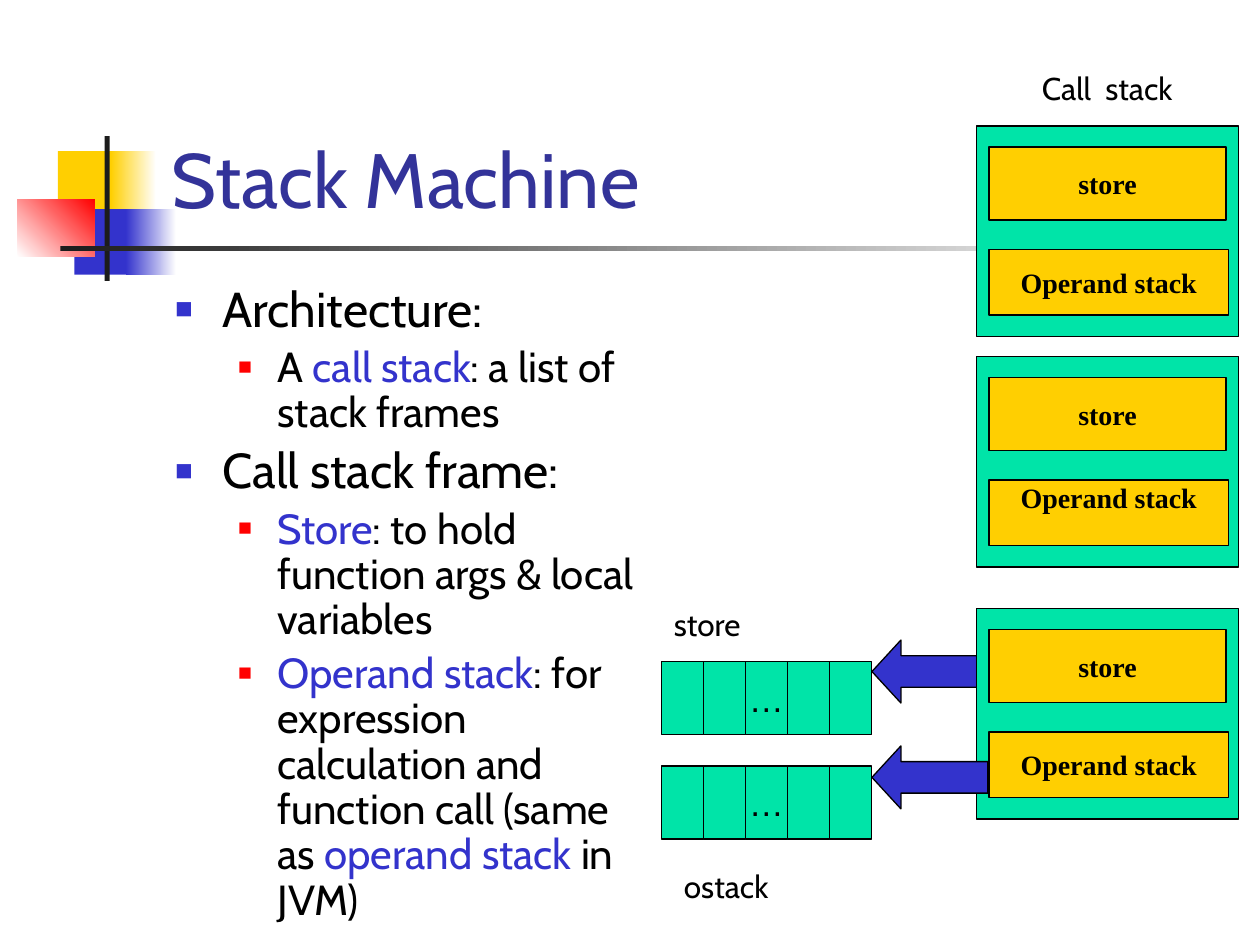
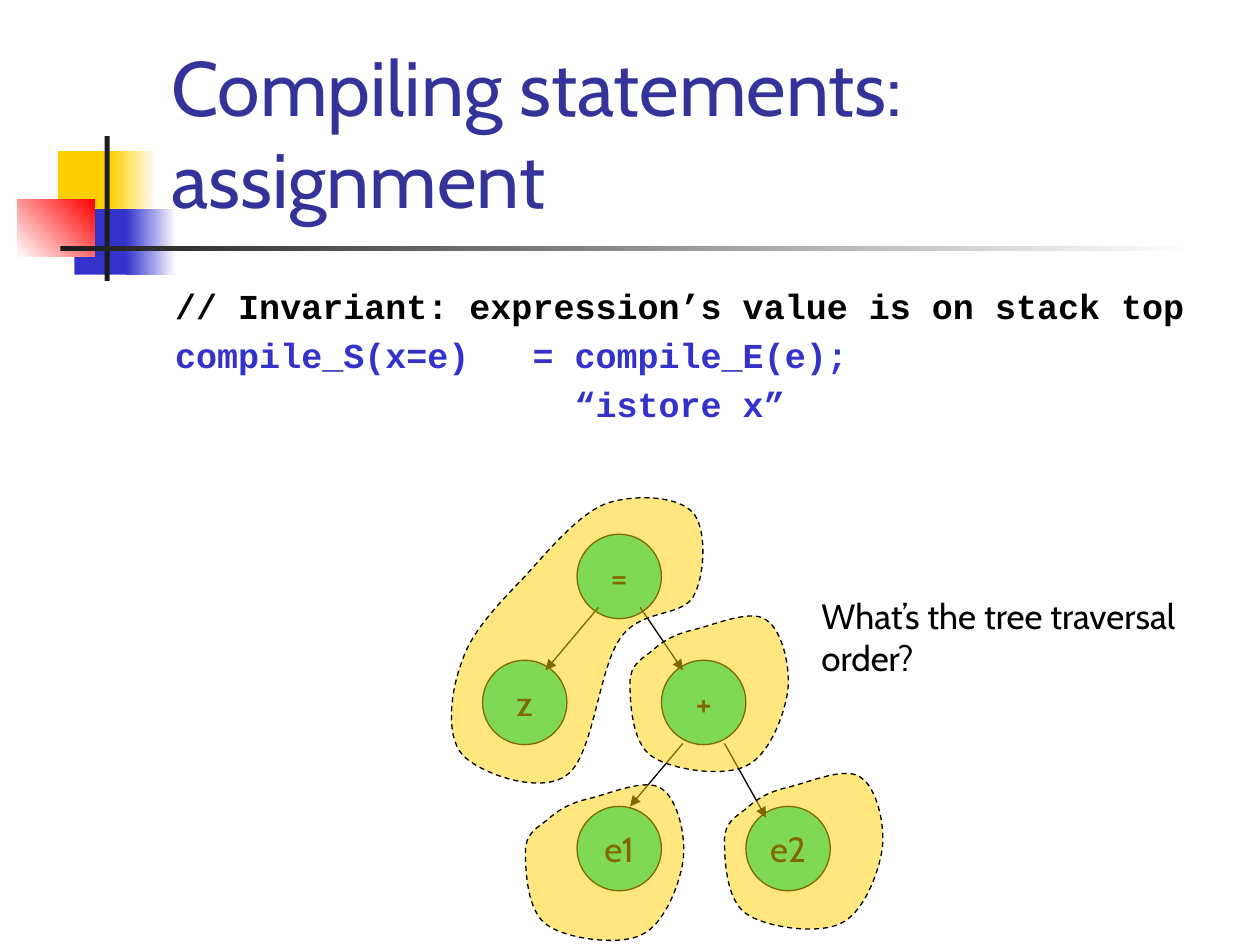
from lxml import etree
from pptx import Presentation
from pptx import util as u
from pptx.dml.color import RGBColor
from pptx.enum import dml, shapes, text
from pptx.oxml.ns import qn

COLORS = {
    "title": "333399", "text": "000000", "blue": "3333CC", "yellow": "FFCF01",
    "red": "FF0000", "green": "00E4A8", "dark": "1C1C1C", "white": "FFFFFF",
}
MAIN, CODE, LABEL, CELL = "Cabin", "Courier New", "Times New Roman", "Arial"
# Bullet levels: font size, left margin, hanging indent, bullet colour, bullet size in %
LEVELS = [(28, 3 / 8, 3 / 8, "blue", 60), (24, 13 / 16, 5 / 16, "red", 55)]
RECT, OVAL = shapes.MSO_SHAPE.RECTANGLE, shapes.MSO_SHAPE.OVAL
LINE_WIDTH = u.Pt(0.75)


def rgb(name):
    return RGBColor.from_string(COLORS[name])


def add_xml(parent, tag, **attributes):
    return etree.SubElement(parent, qn(tag), attributes)


def set_font(paragraph, size, face=MAIN, color="text", bold=False):
    font = paragraph.font
    font.size, font.name, font.bold = u.Pt(size), face, bold
    font.color.rgb = rgb(color)


def bend(outline):
    """Turn each three straight segments of a freeform into one Bezier curve."""
    segments = list(outline.element.iter(qn("a:lnTo")))
    for i in range(0, len(segments), 3):
        curve = etree.Element(qn("a:cubicBezTo"))
        segments[i].addprevious(curve)
        for segment in segments[i:i + 3]:
            curve.append(segment[0])
            segment.getparent().remove(segment)


class Deck:
    def __init__(self):
        self.prs = Presentation()
        self.prs.slide_width, self.prs.slide_height = u.Inches(10), u.Inches(7.5)
        self.slide = None

    def place(self, shape, x, y, w, h):
        shape.left, shape.top = u.Inches(x), u.Inches(y)
        shape.width, shape.height = u.Inches(w), u.Inches(h)

    def new_slide(self, heading):
        first = self.slide is None
        self.slide = self.prs.slides.add_slide(self.prs.slide_layouts[1])
        if first:
            self.ornament()
        title = self.slide.shapes.title
        self.place(title, 1.26, 0.23, 8.52, 1.6)
        frame = title.text_frame
        frame.text = heading
        frame.auto_size = text.MSO_AUTO_SIZE.NONE
        frame.vertical_anchor = text.MSO_ANCHOR.BOTTOM
        frame.paragraphs[0].alignment = text.PP_ALIGN.LEFT
        set_font(frame.paragraphs[0], 44, color="title")

    def ornament(self):
        """Draw the squares and rules beside the titles and move them to the master."""
        parts = [
            self.shape(0.46, 1.2, 0.48, 0.52, "yellow", line=False),
            self.fade(0.88, 1.2, 0.36, 0.52, "yellow", "white"),
            self.shape(0.59, 1.66, 0.46, 0.52, "blue", line=False),
            self.fade(1, 1.66, 0.4, 0.52, "blue", "white"),
            self.fade(0.14, 1.58, 0.61, 0.46, "white", "red", angle=45),
            self.shape(0.83, 1.08, 0.04, 1.15, "dark", line=False),
            self.fade(0.48, 1.95, 9, 0.04, "dark", "white"),
        ]
        master_tree = self.prs.slide_master.shapes.element
        for number, part in enumerate(parts, start=100):
            next(part.element.iter(qn("p:cNvPr"))).set("id", str(number))
            master_tree.append(part.element)

    def shape(self, x, y, w, h, fill, kind=RECT, line=True):
        shape = self.slide.shapes.add_shape(
            kind, u.Inches(x), u.Inches(y), u.Inches(w), u.Inches(h))
        self.paint(shape, fill, line)
        return shape

    def paint(self, shape, fill, line=True):
        shape.shadow.inherit = False
        shape.fill.solid()
        shape.fill.fore_color.rgb = rgb(fill)
        if line:
            shape.line.color.rgb = rgb("text")
            shape.line.width = LINE_WIDTH
        else:
            shape.line.fill.background()

    def fade(self, x, y, w, h, start, end, angle=0):
        shape = self.shape(x, y, w, h, start, line=False)
        shape.fill.gradient()
        shape.fill.gradient_angle = angle
        for stop, color in zip(shape.fill.gradient_stops, (start, end)):
            stop.color.rgb = rgb(color)
        return shape

    def label(self, shape, words, size, face=MAIN, bold=False):
        frame = shape.text_frame
        frame.text = words
        frame.word_wrap = False
        frame.vertical_anchor = text.MSO_ANCHOR.MIDDLE
        frame.paragraphs[0].alignment = text.PP_ALIGN.CENTER
        set_font(frame.paragraphs[0], size, face, bold=bold)
        return frame

    def caption(self, x, y, w, h, words, size=18):
        frame = self.slide.shapes.add_textbox(
            u.Inches(x), u.Inches(y), u.Inches(w), u.Inches(h)).text_frame
        frame.word_wrap = True
        frame.text = words
        set_font(frame.paragraphs[0], size)

    def body(self, width, count):
        """Place the body placeholder and return its paragraphs."""
        body = self.slide.placeholders[1]
        self.place(body, 1.29, 2.21, width, 4.5)
        frame = body.text_frame
        frame.auto_size = text.MSO_AUTO_SIZE.NONE
        frame.vertical_anchor = text.MSO_ANCHOR.TOP
        for _ in range(count - 1):
            frame.add_paragraph()
        return frame.paragraphs

    def space(self, paragraph, index, size):
        paragraph.space_before = u.Pt(0.2 * size if index else 0)

    def bullets(self, width, items):
        for i, (paragraph, (level, runs)) in enumerate(zip(self.body(width, len(items)), items)):
            size, margin, hang, color, percent = LEVELS[level]
            paragraph.level = level
            props = paragraph._p.get_or_add_pPr()
            props.set("marL", str(u.Inches(margin)))
            props.set("indent", str(-u.Inches(hang)))
            add_xml(add_xml(props, "a:buClr"), "a:srgbClr", val=COLORS[color])
            add_xml(props, "a:buSzPct", val=str(percent * 1000))
            add_xml(props, "a:buFont", typeface="Arial")
            add_xml(props, "a:buChar", char="■")
            set_font(paragraph, size)
            paragraph.line_spacing = 0.9
            self.space(paragraph, i, size)
            for words, run_color in runs:
                run = paragraph.add_run()
                run.text = words
                if run_color != "text":
                    run.font.color.rgb = rgb(run_color)

    def code(self, width, lines):
        for i, (paragraph, (words, color)) in enumerate(zip(self.body(width, len(lines)), lines)):
            props = paragraph._p.get_or_add_pPr()
            props.set("marL", str(u.Inches(3 / 8)))
            props.set("indent", str(-u.Inches(3 / 8)))
            add_xml(props, "a:buNone")
            paragraph.text = words
            set_font(paragraph, 20, CODE, color, bold=True)
            self.space(paragraph, i, 20)

    def block_arrow(self, x, y):
        arrow = self.shape(x, y, 0.92, 0.5, "blue", shapes.MSO_SHAPE.LEFT_ARROW)
        arrow.adjustments[0], arrow.adjustments[1] = 0.5, 0.46

    def edge(self, start, end):
        ends = [u.Inches(value) for value in (*start, *end)]
        edge = self.slide.shapes.add_connector(shapes.MSO_CONNECTOR.STRAIGHT, *ends)
        edge.line.color.rgb = rgb("text")
        edge.line.width = LINE_WIDTH
        props = edge.element.spPr
        add_xml(props.find(qn("a:ln")), "a:tailEnd", type="triangle")
        add_xml(props, "a:effectLst")

    def region(self, knots, dx=0, dy=0):
        """Draw a translucent dashed outline around a part of the tree."""
        points = [(u.Inches(x + dx), u.Inches(y + dy)) for x, y in knots]
        builder = self.slide.shapes.build_freeform(*points[0])
        builder.add_line_segments(points[1:], close=True)
        region = builder.convert_to_shape()
        bend(region)
        self.paint(region, "yellow")
        region.line.dash_style = dml.MSO_LINE.DASH
        color = region.element.spPr.find(qn("a:solidFill")).find(qn("a:srgbClr"))
        add_xml(color, "a:alpha", val="50000")


def stack_frame(deck, top, raised=False):
    """Draw one frame of the call stack; raised puts the lower label at the box's top."""
    deck.shape(7.75, top, 2.08, 1.67, "green")
    store = deck.shape(7.85, top + 1 / 6, 1.88, 0.58, "yellow")
    deck.label(store, "store", 16, LABEL, bold=True)
    operands = deck.shape(7.85, top + 0.98, 1.9, 0.52, "yellow")
    frame = deck.label(operands, "Operand stack", 16, LABEL, bold=True)
    if raised:
        frame.vertical_anchor = text.MSO_ANCHOR.TOP
        frame.margin_top = 0


def cell_row(deck, top):
    for i in range(5):
        cell = deck.shape(5.25 + i / 3, top, 1 / 3, 0.58, "green")
        if i == 2:
            deck.label(cell, "…", 20, CELL)


def stack_machine(deck):
    deck.new_slide("Stack Machine")
    deck.bullets(3.87, [
        (0, [("Architecture:", "text")]),
        (1, [("A ", "text"), ("call stack", "blue"), (": a list of stack frames", "text")]),
        (0, [("Call stack frame:", "text")]),
        (1, [("Store", "blue"), (": to hold function args & local variables", "text")]),
        (1, [("Operand stack", "blue"),
             (": for expression calculation and function call (same as ", "text"),
             ("operand stack", "blue"), (" in JVM)", "text")]),
    ])
    cell_row(deck, 6.08)
    deck.block_arrow(6.92, 5.08)
    for top in (1, 2.83, 4.83):
        stack_frame(deck, top, raised=top == 2.83)
    deck.block_arrow(6.92, 5.92)
    cell_row(deck, 5.25)
    deck.caption(8.17, 0.5, 1.5, 0.4, "Call  stack")
    deck.caption(5.25, 4.75, 1.33, 0.4, "store")
    deck.caption(5.33, 6.83, 1.33, 0.4, "ostack")


def compiling_assignment(deck):
    deck.new_slide("Compiling statements: assignment")
    deck.code(8.5, [
        ("// Invariant: expression’s value is on stack top", "text"),
        ("compile_S(x=e)   = compile_E(e);", "blue"),
        ("                   “istore x”", "blue"),
    ])
    nodes = [("=", 4.58, 4.24), ("z", 3.83, 5.24), ("+", 5.25, 5.24),
             ("e1", 4.58, 6.4), ("e2", 5.92, 6.4)]
    for symbol, x, y in nodes:
        deck.label(deck.shape(x, y, 0.67, 0.67, "green", OVAL), symbol, 20)
    edges = [((4.75, 4.82), (4.33, 5.32)), ((5.42, 5.9), (5, 6.4)),
             ((5.08, 4.82), (5.42, 5.32)), ((5.75, 5.9), (6.08, 6.49))]
    for start, end in edges:
        deck.edge(start, end)

    operand_region = [
        (0.17, 0.34), (0.08, 0.41), (0, 0.45), (0, 0.59),
        (0, 0.73), (0.01, 1.06), (0.17, 1.17), (0.32, 1.28), (0.74, 1.34), (0.92, 1.25),
        (1.1, 1.17), (1.22, 0.86), (1.25, 0.67), (1.28, 0.48), (1.21, 0.17), (1.08, 0.09),
        (0.96, 0), (0.67, 0.13), (0.5, 0.17), (0.33, 0.21), (0.25, 0.27), (0.17, 0.34)]
    for corner in ((4.17, 6.17), (5.75, 6.08), (5, 4.83)):
        deck.region(operand_region, *corner)
    deck.region([
        (4.17, 4.57), (3.97, 4.78), (3.75, 5), (3.67, 5.24),
        (3.58, 5.47), (3.53, 5.83), (3.67, 5.99), (3.81, 6.14), (4.29, 6.31), (4.5, 6.15),
        (4.71, 6), (4.75, 5.31), (4.92, 5.07), (5.08, 4.83), (5.4, 4.9), (5.5, 4.74),
        (5.6, 4.57), (5.61, 4.19), (5.5, 4.07), (5.39, 3.94), (5.06, 3.92), (4.83, 3.99),
        (4.61, 4.06), (4.36, 4.36), (4.17, 4.57)])
    deck.caption(6.42, 4.67, 3.33, 0.77, "What’s the tree traversal order?", 20)


def main():
    deck = Deck()
    stack_machine(deck)
    compiling_assignment(deck)
    deck.prs.save("out.pptx")


if __name__ == "__main__":
    main()
